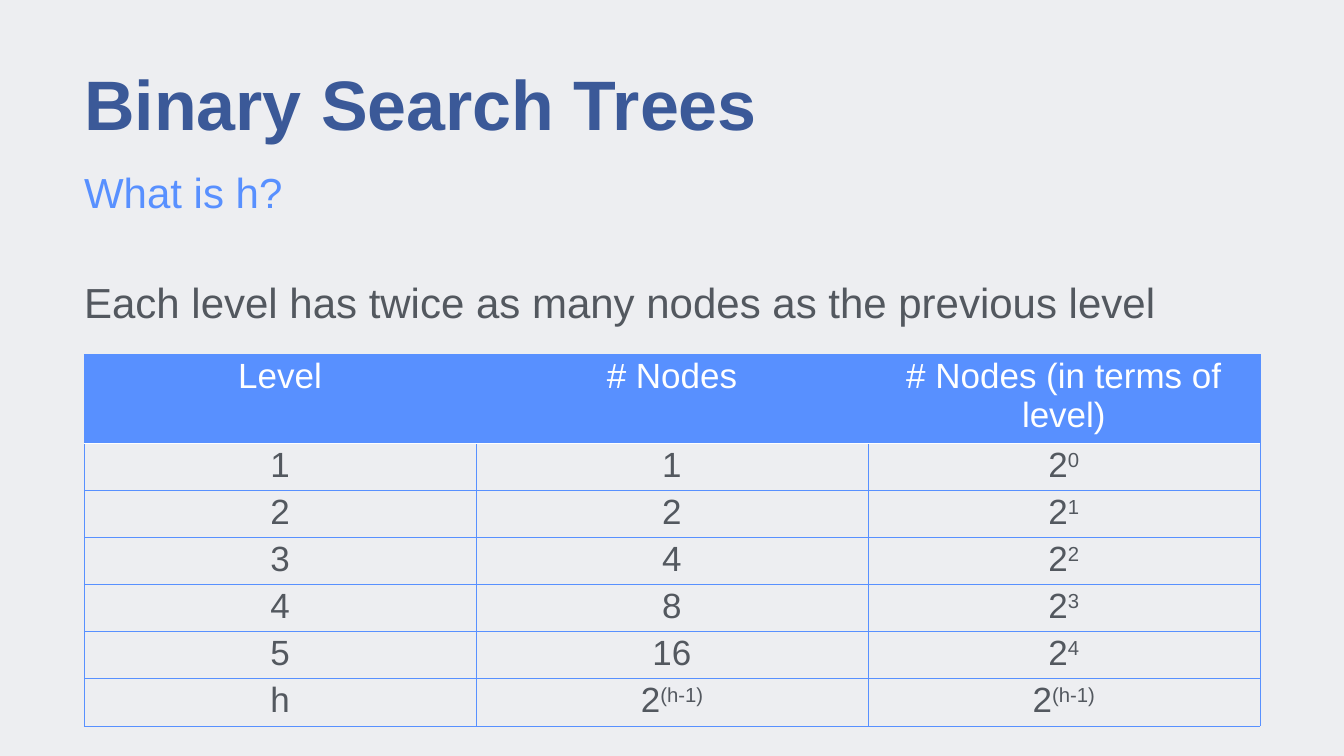
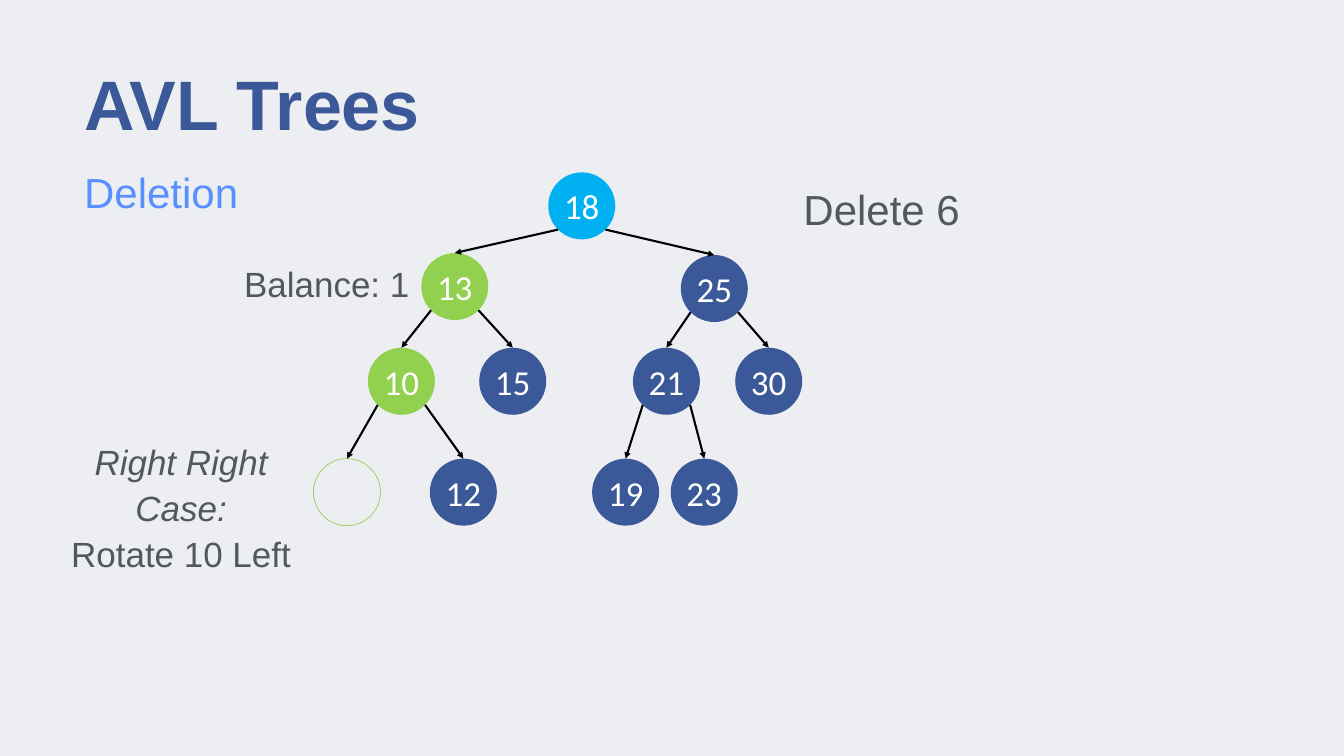
from math import sqrt
from pptx import Presentation
from pptx.dml.color import RGBColor
from pptx.enum.shapes import MSO_CONNECTOR, MSO_SHAPE
from pptx.enum.text import MSO_ANCHOR, PP_ALIGN
from pptx.oxml.ns import qn
from pptx.util import Inches, Pt
from lxml.etree import SubElement

BACKGROUND = RGBColor(0xED, 0xEE, 0xF1)
NAVY = RGBColor(0x3B, 0x59, 0x98)
BLUE = RGBColor(0x58, 0x90, 0xFF)
GRAY = RGBColor(0x53, 0x58, 0x5F)
WHITE = RGBColor(0xFF, 0xFF, 0xFF)
BLACK = RGBColor(0, 0, 0)
SKY = RGBColor(0x00, 0xB0, 0xF0)
GREEN = RGBColor(0x92, 0xD0, 0x50)

MARGIN = 1.67
CONTENT_WIDTH = 23.33
NODE_SIZE = 1.33
ROW_HEIGHT = 0.91

LEVEL_ROWS = [
    ("Level", "# Nodes", "# Nodes (in terms of level)"),
    ("1", "1", "2^0"),
    ("2", "2", "2^1"),
    ("3", "4", "2^2"),
    ("4", "8", "2^3"),
    ("5", "16", "2^4"),
    ("h", "2^(h-1)", "2^(h-1)"),
]

TREE_NODES = {
    "18": (10.88, 3.42, SKY),
    "13": (8.36, 5.02, GREEN),
    "25": (13.51, 5.06, NAVY),
    "10": (7.3, 6.9, GREEN),
    "15": (9.51, 6.9, NAVY),
    "21": (12.56, 6.9, NAVY),
    "30": (14.59, 6.9, NAVY),
    "": (6.22, 9.1, None),
    "12": (8.53, 9.1, NAVY),
    "19": (11.75, 9.1, NAVY),
    "23": (13.31, 9.1, NAVY),
}

TREE_CHILDREN = {
    "18": ("13", "25"),
    "13": ("10", "15"),
    "25": ("21", "30"),
    "10": ("", "12"),
    "21": ("19", "23"),
}

TREE_LABELS = [
    (15.75, 3.53, 3.49, 1.11, 60, [("Delete 6", False)]),
    (4.74, 5.11, 3.49, 0.93, 50, [("Balance: 1", False)]),
    (1.23, 9.1, 4.73, 1.85, 50,
     [("Right Right Case:", True), ("Rotate 10 Left", False)]),
]


def style(para, size, color, name="Arial", align=PP_ALIGN.LEFT):
    para.alignment = align
    para.font.size = Pt(size)
    para.font.name = name
    para.font.color.rgb = color


def set_insets(frame, inset):
    frame.margin_left = frame.margin_right = Inches(inset)
    frame.margin_top = frame.margin_bottom = Inches(inset)


def add_text(page, left, top, width, height, lines, size, color,
             align=PP_ALIGN.LEFT, anchor=MSO_ANCHOR.MIDDLE, spacing=None, bold=None):
    box = page.shapes.add_textbox(Inches(left), Inches(top), Inches(width), Inches(height))
    frame = box.text_frame
    frame.word_wrap = True
    frame.vertical_anchor = anchor
    set_insets(frame, 0)
    for index, (text, italic) in enumerate(lines):
        para = frame.add_paragraph() if index else frame.paragraphs[0]
        para.add_run().text = text
        style(para, size, color, align=align)
        para.line_spacing = spacing
        para.font.bold = bold
        para.font.italic = italic


def add_page(deck, title, subtitle):
    page = deck.slides.add_slide(deck.slide_layouts[6])
    page.background.fill.solid()
    page.background.fill.fore_color.rgb = BACKGROUND
    add_text(page, MARGIN, 1.14, CONTENT_WIDTH, 2.01, [(title, False)], 100, NAVY,
             spacing=0.9, bold=True)
    add_text(page, MARGIN, 3.19, CONTENT_WIDTH, 1.22, [(subtitle, False)], 60, BLUE)
    return page


def add_border(cell, side, color):
    line = SubElement(cell._tc.get_or_add_tcPr(), qn(f"a:ln{side}"), w=str(Pt(0.75)))
    fill = SubElement(line, qn("a:solidFill"))
    SubElement(fill, qn("a:srgbClr"), val=str(color))


def fill_cell(cell, text, row):
    para = cell.text_frame.paragraphs[0]
    base, _, power = text.partition("^")
    para.add_run().text = base
    if power:
        span = para.add_run()
        span.text = power
        span._r.get_or_add_rPr().set("baseline", "30000")
    style(para, 50, GRAY if row else WHITE, align=PP_ALIGN.CENTER)
    para.font.bold = False
    for side in "LRTB":
        under_header = (row, side) in ((0, "B"), (1, "T"))
        add_border(cell, side, WHITE if under_header else BLUE)
    if row:
        cell.fill.background()
    else:
        cell.fill.solid()
        cell.fill.fore_color.rgb = BLUE


def add_level_table(page):
    table = page.shapes.add_table(
        len(LEVEL_ROWS), len(LEVEL_ROWS[0]), Inches(MARGIN), Inches(7.03),
        Inches(CONTENT_WIDTH), Inches(ROW_HEIGHT * len(LEVEL_ROWS))).table
    table.horz_banding = False
    for row, texts in enumerate(LEVEL_ROWS):
        table.rows[row].height = Inches(ROW_HEIGHT)
        for column, text in enumerate(texts):
            fill_cell(table.cell(row, column), text, row)


def add_node(page, label, left, top, color):
    node = page.shapes.add_shape(MSO_SHAPE.OVAL, Inches(left), Inches(top),
                                 Inches(NODE_SIZE), Inches(NODE_SIZE))
    node.shadow.inherit = False
    if color is None:
        node.fill.background()
        node.line.color.rgb = GREEN
        node.line.width = Pt(1)
        return node
    node.fill.solid()
    node.fill.fore_color.rgb = color
    node.line.fill.background()
    frame = node.text_frame
    set_insets(frame, 0.08)
    frame.vertical_anchor = MSO_ANCHOR.MIDDLE
    frame.paragraphs[0].add_run().text = label
    style(frame.paragraphs[0], 50, WHITE, "Calibri", PP_ALIGN.CENTER)
    return node


def add_branch(page, parent, child, direction):
    radius = parent.width / 2
    reach = radius / sqrt(2)
    start_x = int(parent.left + radius + direction * reach)
    start_y = int(parent.top + radius + reach)
    branch = page.shapes.add_connector(MSO_CONNECTOR.STRAIGHT, start_x, start_y,
                                       child.left + child.width // 2, child.top)
    branch.end_connect(child, 0)
    branch.line.color.rgb = BLACK
    branch.line.width = Pt(3)
    SubElement(branch.line._get_or_add_ln(), qn("a:tailEnd"), type="triangle")
    SubElement(branch._element.spPr, qn("a:effectLst"))


def add_tree(page):
    nodes = {label: add_node(page, label, *place) for label, place in TREE_NODES.items()}
    for parent, children in TREE_CHILDREN.items():
        for child, direction in zip(children, (-1, 1)):
            add_branch(page, nodes[parent], nodes[child], direction)


def main():
    deck = Presentation()
    deck.slide_width = Inches(26.67)
    deck.slide_height = Inches(15)

    page = add_page(deck, "Binary Search Trees", "What is h?")
    add_text(page, MARGIN, 5.28, CONTENT_WIDTH, 6.67,
             [("Each level has twice as many nodes as the previous level", False)],
             60, GRAY, anchor=MSO_ANCHOR.TOP, spacing=1.2)
    add_level_table(page)

    page = add_page(deck, "AVL Trees", "Deletion")
    add_tree(page)
    for left, top, width, height, size, lines in TREE_LABELS:
        add_text(page, left, top, width, height, lines, size, GRAY,
                 align=PP_ALIGN.CENTER, spacing=1.1)

    deck.save("out.pptx")


if __name__ == "__main__":
    main()
